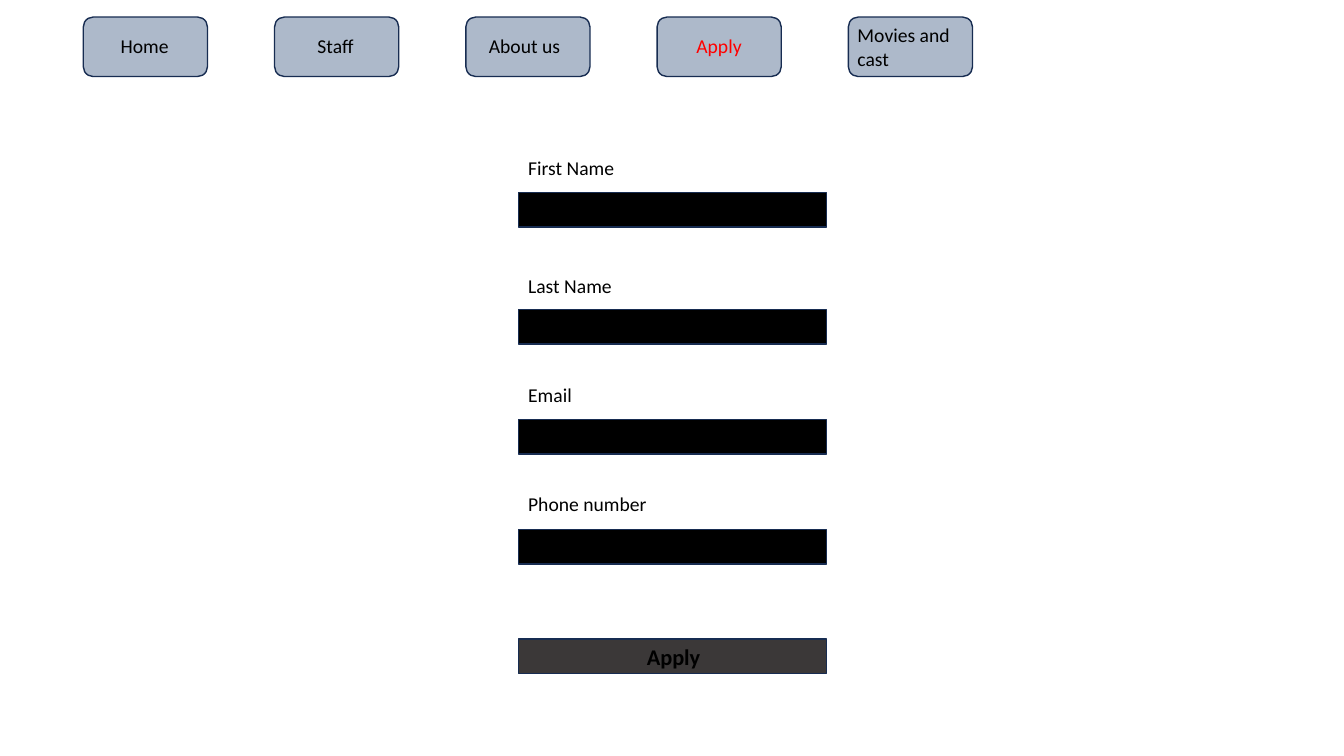
from dataclasses import dataclass

from pptx import Presentation
from pptx.dml.color import RGBColor
from pptx.enum.shapes import MSO_SHAPE
from pptx.util import Cm, Pt

FONT = "Calibri"
BLACK, RED = "000000", "FF0000"
OUTLINE, BUTTON_FILL, SUBMIT_FILL = "172C51", "ADB9CA", "3B3838"

# Lengths in centimetres
NAV_LEFT, NAV_TOP, NAV_PITCH = 2.1, 0.43, 4.82
NAV_WIDTH, NAV_HEIGHT = 3.13, 1.5
FORM_LEFT, FIELD_WIDTH, FIELD_HEIGHT = 13.06, 7.77, 0.87
LABEL_WIDTH, LABEL_HEIGHT = 4.24, 0.86
SUBMIT_TOP = 16.1


@dataclass
class NavItem:
    text: str
    left: float
    width: float
    top: float = 0.74
    height: float = 0.86
    color: str = BLACK


@dataclass
class Field:
    label: str
    label_top: float
    box_top: float


NAV_ITEMS = [
    NavItem("Home", 2.79, 1.77),
    NavItem("Staff", 7.75, 1.52),
    NavItem("About us", 12.07, 2.5),
    NavItem("Apply", 17.3, 1.72, color=RED),
    NavItem("Movies and cast", 21.36, 2.85, top=0.46, height=1.45),
]

FIELDS = [
    Field("First Name", 3.81, 4.85),
    Field("Last Name", 6.78, 7.8),
    Field("Email", 9.53, 10.57),
    Field("Phone number", 12.27, 13.34),
]


def rgb(color: str) -> RGBColor:
    return RGBColor.from_string(color)


def add_box(slide, kind: MSO_SHAPE, left: float, top: float,
            width: float, height: float, fill: str) -> None:
    shape = slide.shapes.add_shape(kind, Cm(left), Cm(top), Cm(width), Cm(height))
    shape.shadow.inherit = False
    shape.fill.solid()
    shape.fill.fore_color.rgb = rgb(fill)
    shape.line.color.rgb = rgb(OUTLINE)
    shape.line.width = Pt(1)


def add_text(slide, text: str, left: float, top: float, width: float, height: float,
             color: str = BLACK, size: int = 14, bold: bool = False) -> None:
    box = slide.shapes.add_textbox(Cm(left), Cm(top), Cm(width), Cm(height))
    box.text_frame.word_wrap = True
    box.text_frame.text = text
    font = box.text_frame.paragraphs[0].runs[0].font
    font.name, font.size, font.bold = FONT, Pt(size), bold
    font.color.rgb = rgb(color)


def main() -> None:
    presentation = Presentation()
    presentation.slide_width, presentation.slide_height = Cm(33.87), Cm(19.05)
    slide = presentation.slides.add_slide(presentation.slide_layouts[6])

    # Navigation bar
    for index, item in enumerate(NAV_ITEMS):
        add_box(slide, MSO_SHAPE.ROUNDED_RECTANGLE, NAV_LEFT + index * NAV_PITCH,
                NAV_TOP, NAV_WIDTH, NAV_HEIGHT, BUTTON_FILL)
        add_text(slide, item.text, item.left, item.top, item.width, item.height, item.color)

    # Application form
    for field in FIELDS:
        add_box(slide, MSO_SHAPE.RECTANGLE, FORM_LEFT, field.box_top,
                FIELD_WIDTH, FIELD_HEIGHT, BLACK)
        add_text(slide, field.label, FORM_LEFT, field.label_top, LABEL_WIDTH, LABEL_HEIGHT)

    # Submit button
    add_box(slide, MSO_SHAPE.RECTANGLE, FORM_LEFT, SUBMIT_TOP,
            FIELD_WIDTH, FIELD_HEIGHT, SUBMIT_FILL)
    add_text(slide, "Apply", 16.05, 16.08, 1.95, 0.94, size=16, bold=True)

    presentation.save("out.pptx")


if __name__ == "__main__":
    main()
